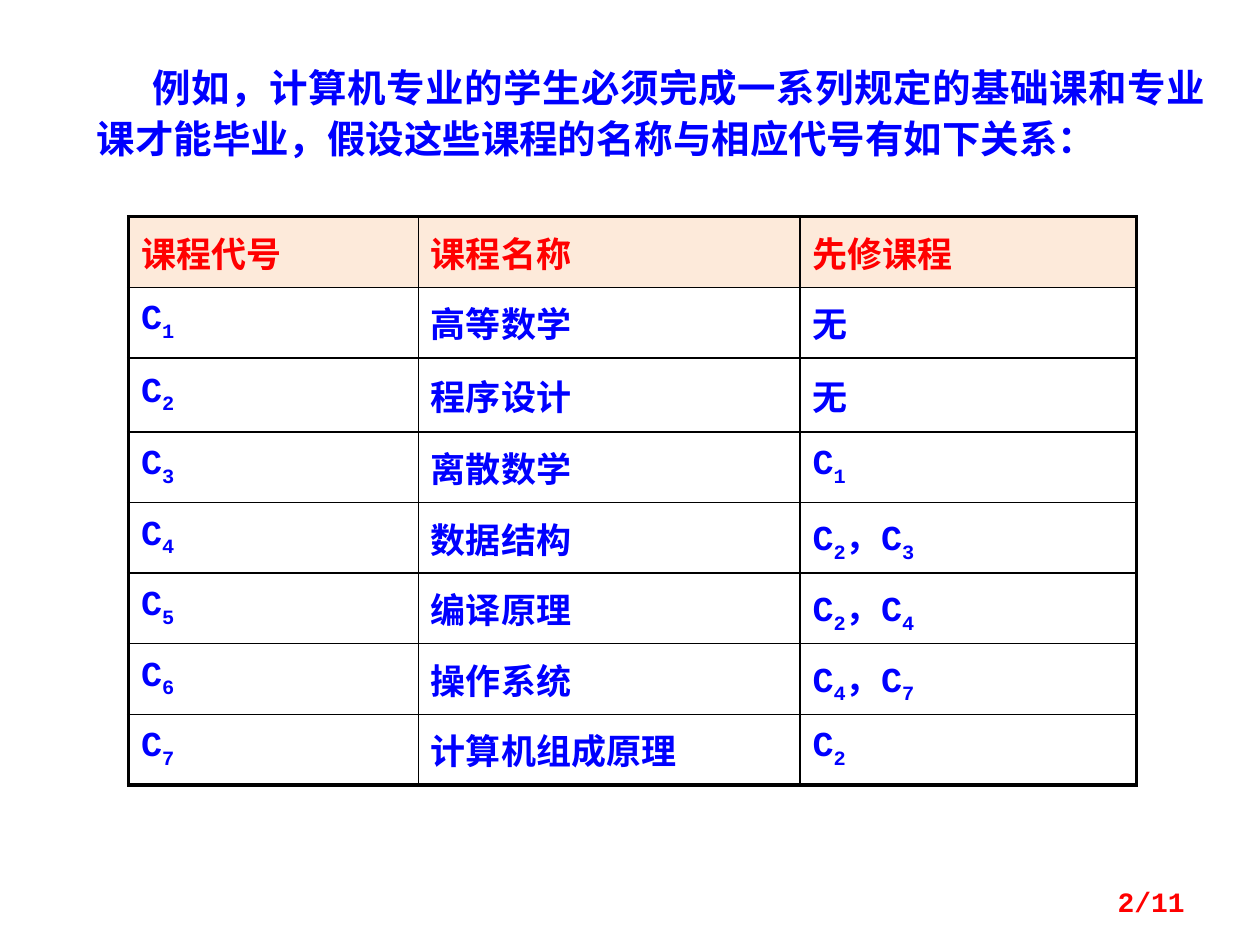
from dataclasses import dataclass
from itertools import groupby

from lxml.etree import SubElement
from pptx import Presentation
from pptx.dml.color import RGBColor
from pptx.enum.text import MSO_ANCHOR, PP_ALIGN
from pptx.oxml.ns import qn
from pptx.util import Inches, Pt


@dataclass(frozen=True)
class Theme:
    blue: str = "0000FF"
    red: str = "FF0000"
    black: str = "000000"
    header_fill: str = "FDEADA"
    code_font: str = "Courier New"
    text_font: str = "Times New Roman"
    intro_size: int = 22
    table_size: int = 20
    page_size: int = 16
    thick: float = 2.25
    thin: float = 1


THEME = Theme()
SLIDE_WIDTH = Inches(10)
SLIDE_HEIGHT = Inches(7.5)
GRID_COLUMNS = 100
GRID_ROWS = 75

INTRO = "例如，计算机专业的学生必须完成一系列规定的基础课和专业课才能毕业，假设这些课程的名称与相应代号有如下关系："
HEADER = ("课程代号", "课程名称", "先修课程")
COURSES = (
    ("C1", "高等数学", "无"),
    ("C2", "程序设计", "无"),
    ("C3", "离散数学", "C1"),
    ("C4", "数据结构", "C2，C3"),
    ("C5", "编译原理", "C2，C4"),
    ("C6", "操作系统", "C4，C7"),
    ("C7", "计算机组成原理", "C2"),
)
COLUMN_SPANS = (23, 30.3, 26.7)
ROW_SPANS = (5.6, 5.6, 5.9, 5.6, 5.6, 5.6, 5.6, 5.6)


def across(columns):
    return round(SLIDE_WIDTH * columns / GRID_COLUMNS)


def down(rows):
    return round(SLIDE_HEIGHT * rows / GRID_ROWS)


def place(column, row, columns, rows):
    return across(column), down(row), across(columns), down(rows)


def format_span(span, size, color, font):
    span.font.size = Pt(size)
    span.font.bold = True
    span.font.name = font
    span.font.color.rgb = RGBColor.from_string(color)


def add_text(page, area, text, size, color, font, align):
    box = page.shapes.add_textbox(*area)
    frame = box.text_frame
    frame.word_wrap = True
    frame.text = text
    para = frame.paragraphs[0]
    para.alignment = align
    format_span(para.runs[0], size, color, font)
    return frame


def add_intro(page):
    frame = add_text(page, place(6.7, 4.2, 90, 8.8), INTRO, THEME.intro_size,
                     THEME.blue, THEME.text_font, PP_ALIGN.JUSTIFY)
    para = frame.paragraphs[0]
    para.line_spacing = 1.1
    para._p.get_or_add_pPr().set("indent", str(across(4.4)))


def add_page_number(page):
    frame = add_text(page, place(71.7, 69.5, 23.3, 4), "2/11", THEME.page_size,
                     THEME.red, THEME.code_font, PP_ALIGN.RIGHT)
    frame.vertical_anchor = MSO_ANCHOR.MIDDLE


def set_borders(cell, outer_sides):
    properties = cell._tc.get_or_add_tcPr()
    for side in ("L", "R", "T", "B"):
        width = THEME.thick if side in outer_sides else THEME.thin
        line = SubElement(properties, qn(f"a:ln{side}"), w=str(Pt(width)))
        fill = SubElement(line, qn("a:solidFill"))
        SubElement(fill, qn("a:srgbClr"), val=THEME.black)


def write_cell(cell, text, color):
    cell.vertical_anchor = MSO_ANCHOR.MIDDLE
    para = cell.text_frame.paragraphs[0]
    para.alignment = PP_ALIGN.JUSTIFY
    for is_subscript, letters in groupby(text, str.isdigit):
        span = para.add_run()
        span.text = "".join(letters)
        format_span(span, THEME.table_size, color, THEME.code_font)
        if is_subscript:
            span.font._element.set("baseline", "-25000")


def add_course_table(page):
    rows = (HEADER, *COURSES)
    area = place(10.2, 17.2, sum(COLUMN_SPANS), sum(ROW_SPANS))
    table = page.shapes.add_table(len(rows), len(HEADER), *area).table
    table.first_row = False
    table.horz_banding = False
    for column, span in zip(table.columns, COLUMN_SPANS):
        column.width = across(span)
    for row, span in zip(table.rows, ROW_SPANS):
        row.height = down(span)
    last_row, last_column = len(rows) - 1, len(HEADER) - 1
    for r, texts in enumerate(rows):
        for c, text in enumerate(texts):
            cell = table.cell(r, c)
            edges = {"L": c == 0, "R": c == last_column,
                     "T": r == 0, "B": r == last_row}
            set_borders(cell, [side for side, outer in edges.items() if outer])
            write_cell(cell, text, THEME.blue if r else THEME.red)
            if r:
                cell.fill.background()
            else:
                cell.fill.solid()
                cell.fill.fore_color.rgb = RGBColor.from_string(THEME.header_fill)


def main():
    deck = Presentation()
    deck.slide_width = SLIDE_WIDTH
    deck.slide_height = SLIDE_HEIGHT
    page = deck.slides.add_slide(deck.slide_layouts.get_by_name("Blank"))
    add_course_table(page)
    add_intro(page)
    add_page_number(page)
    deck.save("out.pptx")


if __name__ == "__main__":
    main()
